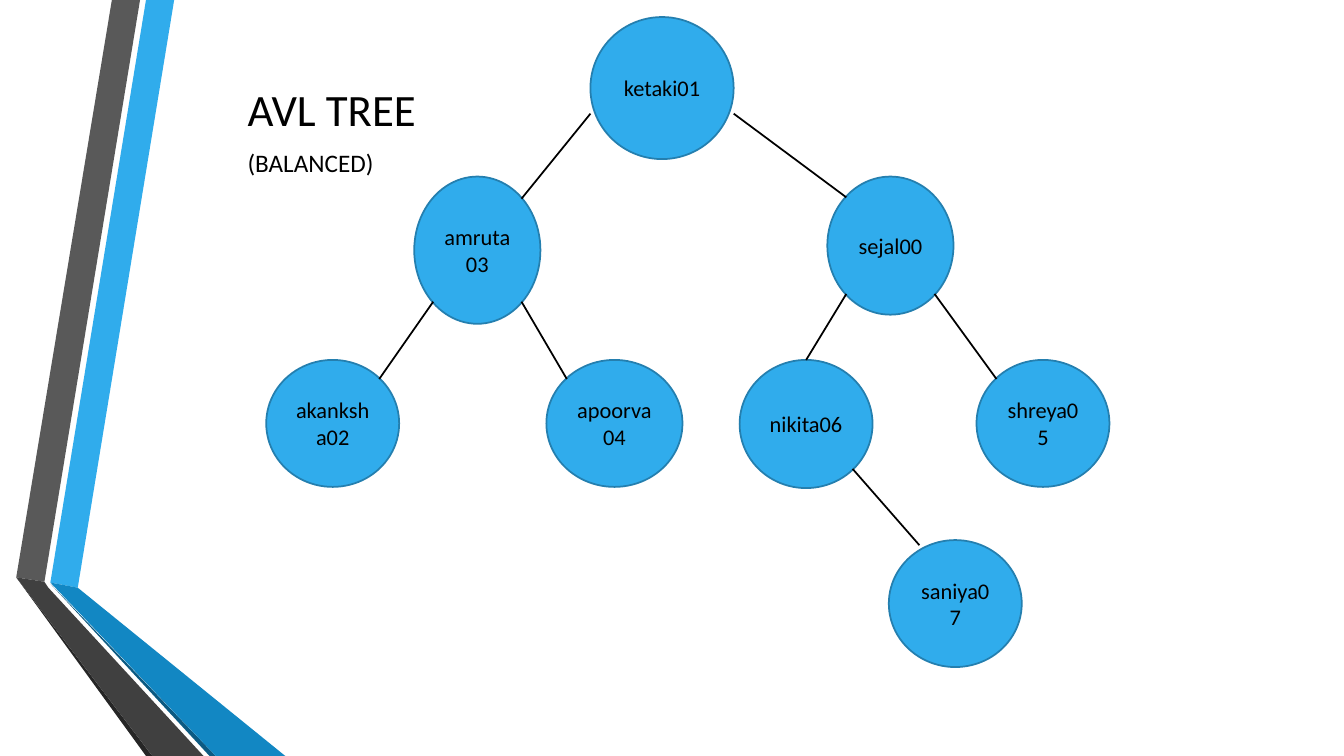
from lxml.etree import SubElement
from pptx import Presentation
from pptx.dml.color import RGBColor
from pptx.enum.shapes import MSO_CONNECTOR, MSO_SHAPE
from pptx.enum.text import MSO_ANCHOR, PP_ALIGN
from pptx.oxml.ns import qn
from pptx.util import Cm, Pt

FONT = "Calibri"
COLORS = {
    "text": "000000",
    "node": "30ACEC",
    "outline": "247FAF",
    "blue": "30ACEC",
    "mid_blue": "1287C3",
    "deep_blue": "0C5A82",
    "gray": "595959",
    "dark_gray": "404040",
    "charcoal": "262626",
}

BANDS = [
    ("blue", [(1.27, 14.68), (1.96, 14.81), (4.39, 0), (3.68, 0)]),
    ("gray", [(3.53, 0), (2.82, 0), (0.41, 14.55), (1.12, 14.66)]),
    ("charcoal", [(0.41, 14.55), (3.68, 19.05), (3.84, 19.05)]),
    ("deep_blue", [(1.27, 14.71), (5.28, 19.05), (5.44, 19.05)]),
    ("mid_blue", [(1.27, 14.68), (5.44, 19.05), (7.19, 19.05), (1.96, 14.81)]),
    ("dark_gray", [(5.13, 19.05), (1.22, 14.81), (1.12, 14.66), (0.41, 14.55),
                   (3.84, 19.05)]),
]

NODES = {
    "ketaki01": (14.88, 0.43, 3.61, 3.58),
    "amruta03": (10.44, 4.45, 3.18, 3.71),
    "akanksha02": (6.71, 9.07, 3.35, 3.2),
    "apoorva04": (13.77, 9.07, 3.43, 3.2),
    "sejal00": (20.85, 4.45, 3.18, 3.48),
    "nikita06": (18.64, 9.07, 3.35, 3.23),
    "shreya05": (24.61, 9.07, 3.35, 3.2),
    "saniya07": (22.4, 13.61, 3.35, 3.2),
}

TOP = (0.5, 0)
TOP_LEFT, TOP_RIGHT = (0.15, 0.15), (0.85, 0.15)
BOTTOM_LEFT, BOTTOM_RIGHT = (0.15, 0.85), (0.85, 0.85)
ROOT_LEFT, ROOT_RIGHT = (0, 0.68), (1, 0.68)
LEAF_TOP = (0.23, 0.04)

EDGES = [
    ("ketaki01", ROOT_LEFT, "amruta03", TOP_RIGHT),
    ("ketaki01", ROOT_RIGHT, "sejal00", TOP_LEFT),
    ("amruta03", BOTTOM_LEFT, "akanksha02", TOP_RIGHT),
    ("amruta03", BOTTOM_RIGHT, "apoorva04", TOP_LEFT),
    ("sejal00", BOTTOM_LEFT, "nikita06", TOP),
    ("sejal00", BOTTOM_RIGHT, "shreya05", TOP_LEFT),
    ("nikita06", BOTTOM_RIGHT, "saniya07", LEAF_TOP),
]


def rgb(name):
    return RGBColor.from_string(COLORS[name])


def write(tf, text, size, align=PP_ALIGN.LEFT):
    tf.word_wrap = True
    p = tf.paragraphs[0]
    p.text = text
    p.alignment = align
    p.font.name = FONT
    p.font.size = Pt(size)
    p.font.color.rgb = rgb("text")


def add_band(s, color, points):
    start, *rest = [(Cm(x), Cm(y)) for x, y in points]
    fb = s.shapes.build_freeform(*start)
    fb.add_line_segments(rest)
    sp = fb.convert_to_shape()
    sp.shadow.inherit = False
    sp.fill.solid()
    sp.fill.fore_color.rgb = rgb(color)
    sp.line.fill.background()


def add_label(s, text, size, box):
    sp = s.shapes.add_textbox(*map(Cm, box))
    write(sp.text_frame, text, size)


def add_node(s, text, box):
    sp = s.shapes.add_shape(MSO_SHAPE.OVAL, *map(Cm, box))
    sp.shadow.inherit = False
    sp.fill.solid()
    sp.fill.fore_color.rgb = rgb("node")
    sp.line.color.rgb = rgb("outline")
    sp.line.width = Pt(1.25)
    sp.text_frame.vertical_anchor = MSO_ANCHOR.MIDDLE
    write(sp.text_frame, text, 16, PP_ALIGN.CENTER)


def anchor(node, site):
    x, y, w, h = NODES[node]
    return Cm(x + w * site[0]), Cm(y + h * site[1])


def add_edge(s, parent, start, child, end):
    cx = s.shapes.add_connector(
        MSO_CONNECTOR.STRAIGHT, *anchor(parent, start), *anchor(child, end))
    cx.line.color.rgb = rgb("text")
    cx.line.width = Pt(1.25)
    SubElement(cx._element.spPr, qn("a:effectLst"))


def main():
    prs = Presentation()
    prs.slide_width, prs.slide_height = Cm(33.87), Cm(19.05)
    s = prs.slides.add_slide(prs.slide_layouts[6])
    for color, points in BANDS:
        add_band(s, color, points)
    add_label(s, "AVL TREE", 32, (5.99, 1.93, 16.51, 1.63))
    for name, box in NODES.items():
        add_node(s, name, box)
    for edge in EDGES:
        add_edge(s, *edge)
    add_label(s, "(BALANCED)", 18, (5.99, 3.58, 4.32, 1.02))
    prs.save("out.pptx")


main()
